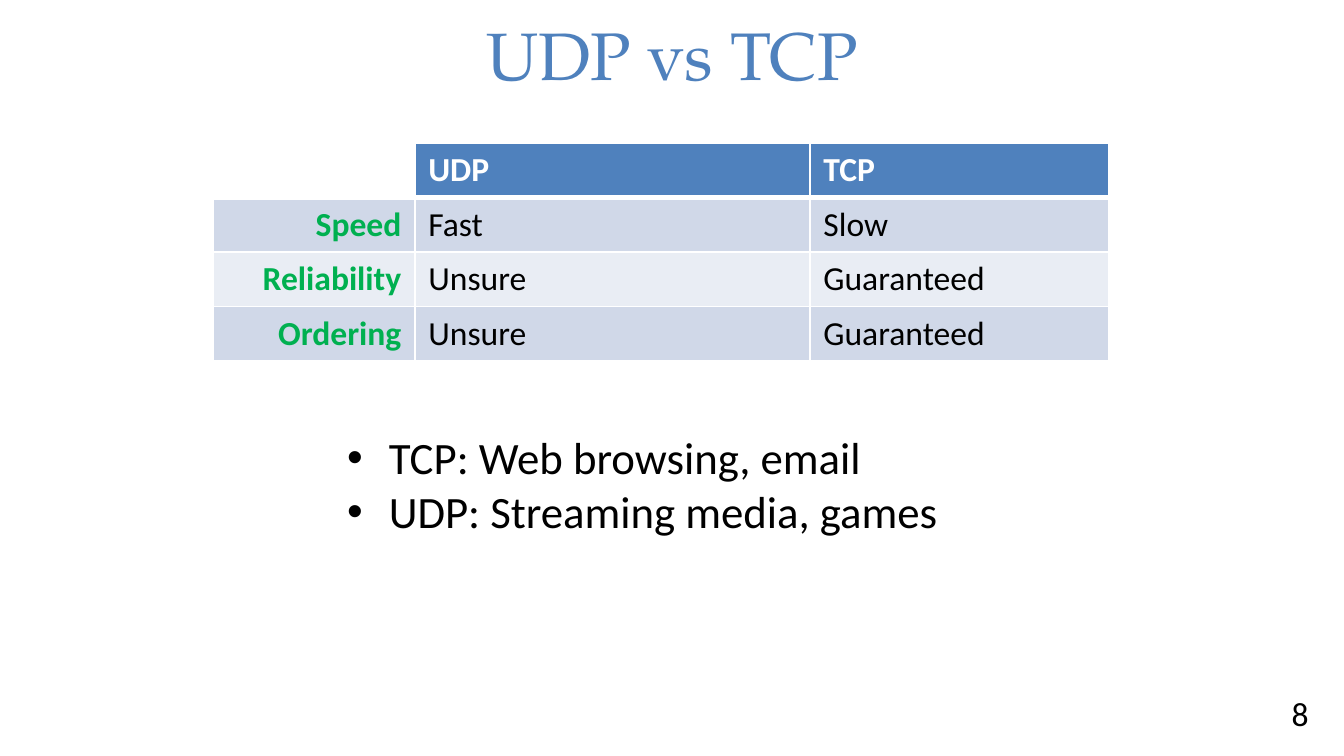
"""Build the UDP vs TCP comparison slide."""
from lxml.etree import SubElement
from pptx import Presentation
from pptx.dml.color import RGBColor
from pptx.enum.shapes import MSO_SHAPE as Shape
from pptx.enum.text import MSO_ANCHOR as Anchor, PP_ALIGN as Align
from pptx.oxml.ns import qn
from pptx.util import Inches, Pt

WHITE, BLACK, BLUE, GREEN = "FFFFFF", "000000", "4F81BD", "00B050"
BANDS = ["E9EDF4", "D0D8E8"]


def color(hex_code):
    return RGBColor.from_string(hex_code)


def write(paragraph, text, hex_code, align=Align.LEFT, **formats):
    paragraph.text = text
    paragraph.alignment = align
    font = paragraph.runs[0].font
    font.color.rgb = color(hex_code)
    for name, value in {"name": "Calibri", "size": Pt(18), "bold": False, **formats}.items():
        setattr(font, name, value)


deck = Presentation()
deck.slide_width = Inches(10)
deck.slide_height = deck.slide_width * 9 // 16
column, row = deck.slide_width / 100, deck.slide_height / 100
slide = deck.slides.add_slide(deck.slide_layouts[6])

comparison = [
    ["", "UDP", "TCP"],
    ["Speed", "Fast", "Slow"],
    ["Reliability", "Unsure", "Guaranteed"],
    ["Ordering", "Unsure", "Guaranteed"],
]
column_shares = [15, 29.4, 22.2]
grid = slide.shapes.add_table(
    len(comparison), len(column_shares),
    int(15.87 * column), int(18.93 * row), int(sum(column_shares) * column), int(28.8 * row),
).table
for grid_column, share in zip(grid.columns, column_shares):
    grid_column.width = int(share * column)

for r, entries in enumerate(comparison):
    for c, entry in enumerate(entries):
        cell = grid.cell(r, c)
        properties = cell._tc.get_or_add_tcPr()
        for side in "LRTB":
            thick = (r, side) in [(0, "B"), (1, "T")]
            border = SubElement(properties, qn(f"a:ln{side}"), w=str(Pt(3 if thick else 1)))
            SubElement(SubElement(border, qn("a:solidFill")), qn("a:srgbClr"), val=WHITE)
        cell.fill.solid()
        cell.fill.fore_color.rgb = color(BANDS[r % 2] if r else BLUE)
        if entry:
            ink = WHITE if r == 0 else BLACK if c else GREEN
            write(cell.text_frame.paragraphs[0], entry, ink,
                  Align.LEFT if c else Align.RIGHT, bold=r == 0 or c == 0)

corner = slide.shapes.add_shape(
    Shape.RECTANGLE, int(14.2 * column), int(17.4 * row), int(16.6 * column), int(8.5 * row))
corner.shadow.inherit = False
corner.fill.solid()
corner.fill.fore_color.rgb = corner.line.color.rgb = color(WHITE)
corner.line.width = Pt(2)

title_format = {"hex_code": BLUE, "align": Align.CENTER, "name": "TeX Gyre Pagella", "size": Pt(36)}
page_format = {"hex_code": BLACK, "align": Align.RIGHT}
uses_format = {"hex_code": BLACK, "size": Pt(24)}
uses = ["TCP: Web browsing, email", "UDP: Streaming media, games"]
texts = [
    (["UDP vs TCP"], (0.85, 1.1, 98.3, 12), Anchor.MIDDLE, title_format),
    (["8"], (91.65, 91.6, 6.7, 5.4), Anchor.MIDDLE, page_format),
    (uses, (24.85, 56, 50.3, 16.2), Anchor.TOP, uses_format),
]
for lines, (left, top, width, height), anchor, formats in texts:
    frame = slide.shapes.add_textbox(
        int(left * column), int(top * row), int(width * column), int(height * row)).text_frame
    frame.word_wrap = True
    frame.vertical_anchor = anchor
    for i, line in enumerate(lines):
        paragraph = frame.add_paragraph() if i else frame.paragraphs[0]
        if lines is uses:
            indent = paragraph._p.get_or_add_pPr()
            indent.set("marL", str(Inches(0.31)))
            indent.set("indent", str(-Inches(0.31)))
            SubElement(indent, qn("a:buFont"), typeface="Arial")
            SubElement(indent, qn("a:buChar"), char="•")
        write(paragraph, line, **formats)

deck.save("out.pptx")
